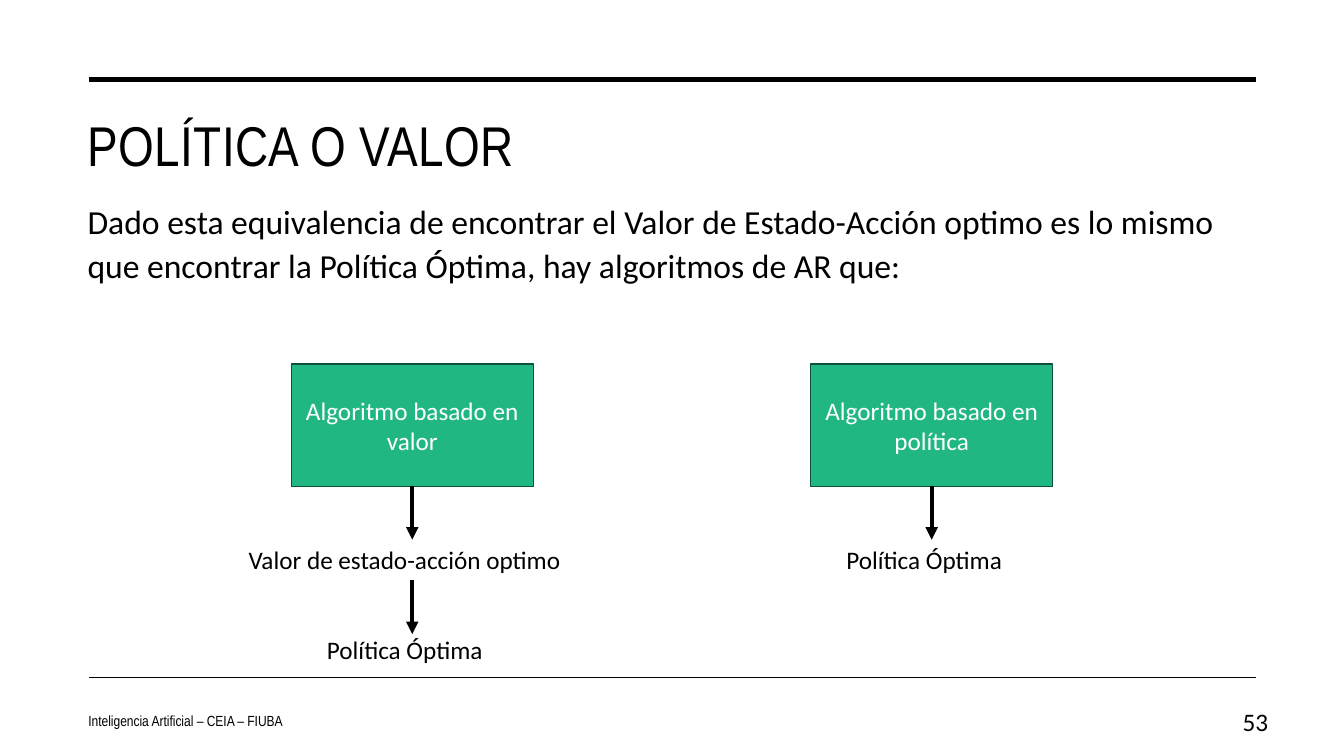
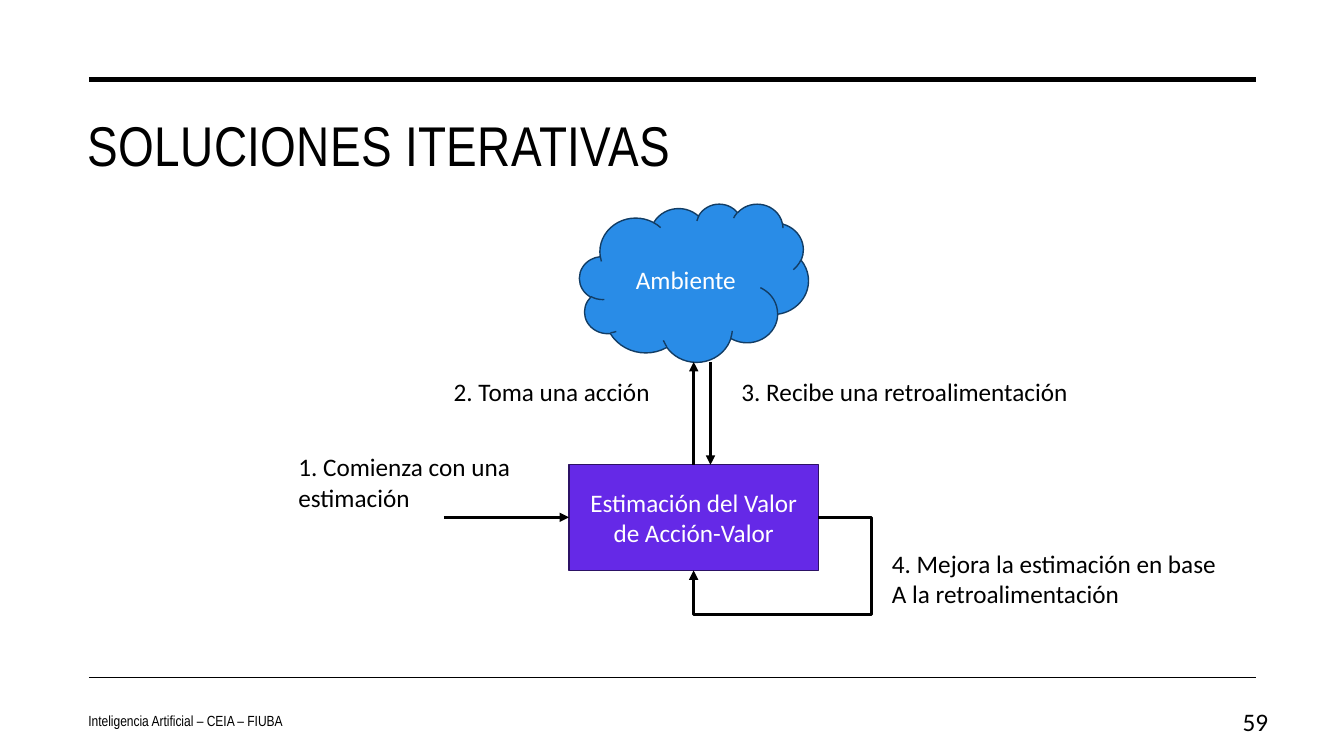
from lxml import etree
from pptx import Presentation
from pptx.dml.color import RGBColor
from pptx.enum import shapes, text
from pptx.oxml import ns
from pptx.util import Pt

BLACK = RGBColor(0x00, 0x00, 0x00)
WHITE = RGBColor(0xFF, 0xFF, 0xFF)
GREEN = RGBColor(0x21, 0xB7, 0x82)
PINE = RGBColor(0x0E, 0x50, 0x39)
BLUE = RGBColor(0x29, 0x8C, 0xE7)
NAVY = RGBColor(0x12, 0x3D, 0x65)
VIOLET = RGBColor(0x65, 0x29, 0xE7)
PLUM = RGBColor(0x2C, 0x12, 0x65)
HEAD, BODY = "Arial Narrow", "Calibri"
RECT = shapes.MSO_SHAPE.RECTANGLE
CLOUD = shapes.MSO_SHAPE.CLOUD
LEFT, MID, RIGHT = text.PP_ALIGN.LEFT, text.PP_ALIGN.CENTER, text.PP_ALIGN.RIGHT
TOP, CORE = text.MSO_ANCHOR.TOP, text.MSO_ANCHOR.MIDDLE


class Deck:
    """Holds the shared style and the slide being built."""

    def __init__(self):
        self.prs = Presentation()
        self.prs.slide_width, self.prs.slide_height = Pt(960), Pt(540)

    def page(self, title, num):
        self.slide = self.prs.slides.add_slide(self.prs.slide_layouts[5])
        self.line(63.5, 57, 897, 57, 3.5)
        self.line(63.5, 484, 897, 484, 1)
        head = self.slide.shapes.title
        head.left, head.top, head.width, head.height = map(Pt, (55.5, 72.5, 841.5, 73.5))
        self.fill(head, title, 40, face=HEAD)
        head.text_frame.margin_top = Pt(6.5)
        head.text_frame.auto_size = text.MSO_AUTO_SIZE.NONE
        head.text_frame.paragraphs[0].runs[0].font._element.set("spc", "30")
        self.note("Inteligencia Artificial – CEIA – FIUBA", 56, 500.5, 357, 29,
                  10.5, face=HEAD, anchor=CORE).space_after = Pt(6)
        self.note(str(num), 859.5, 500.5, 53.5, 29, align=RIGHT, anchor=CORE)

    def fill(self, shape, words, size=18, color=BLACK, face=BODY, align=LEFT, anchor=TOP):
        frame = shape.text_frame
        frame.text = words
        frame.word_wrap = True
        frame.vertical_anchor = anchor
        for para in frame.paragraphs:
            para.alignment = align
            for run in para.runs:
                font = run.font
                font.size, font.name, font.color.rgb = Pt(size), face, color
        return frame.paragraphs[0]

    def note(self, words, x, y, w, h, size=18, **style):
        box = self.slide.shapes.add_textbox(Pt(x), Pt(y), Pt(w), Pt(h))
        return self.fill(box, words, size, **style)

    def label(self, words, x, y, w, h=29):
        self.note(words, x, y, w, h)
        frame = self.slide.shapes[-1].text_frame
        frame.word_wrap = False
        frame.auto_size = text.MSO_AUTO_SIZE.SHAPE_TO_FIT_TEXT

    def block(self, words, x, y, w, h, fill, edge, kind=RECT):
        shape = self.slide.shapes.add_shape(kind, Pt(x), Pt(y), Pt(w), Pt(h))
        shape.shadow.inherit = False
        shape.fill.solid()
        shape.fill.fore_color.rgb = fill
        shape.line.color.rgb, shape.line.width = edge, Pt(1)
        self.fill(shape, words, color=WHITE, align=MID, anchor=CORE)
        return shape

    def line(self, x1, y1, x2, y2, width, kind=shapes.MSO_CONNECTOR.STRAIGHT):
        line = self.slide.shapes.add_connector(kind, Pt(x1), Pt(y1), Pt(x2), Pt(y2))
        line.line.color.rgb, line.line.width = BLACK, Pt(width)
        etree.SubElement(line._element.spPr, ns.qn("a:effectLst"))
        return line

    def arrow(self, *args, **kind):
        line = self.line(*args, **kind)
        stroke = line._element.spPr.find(ns.qn("a:ln"))
        etree.SubElement(stroke, ns.qn("a:tailEnd"), type="triangle")
        return line

    def loop(self, box, x1, y1, x2, y2, width, *bends):
        line = self.arrow(x1, y1, x2, y2, width, kind=shapes.MSO_CONNECTOR.ELBOW)
        line.begin_connect(box, 3)
        line.end_connect(box, 2)
        geom = line._element.spPr.find(ns.qn("a:prstGeom"))
        geom.set("prst", "bentConnector4")
        for old in list(geom):
            geom.remove(old)
        guides = etree.SubElement(geom, ns.qn("a:avLst"))
        for i, bend in enumerate(bends, 1):
            etree.SubElement(guides, ns.qn("a:gd"), name=f"adj{i}", fmla=f"val {bend}")


def policy(deck):
    deck.page("POLÍTICA O VALOR", 53)
    lead = deck.note(
        "Dado esta equivalencia de encontrar el Valor de Estado-Acción optimo es lo mismo "
        "que encontrar la Política Óptima, hay algoritmos de AR que:",
        55.5, 137, 841.5, 342, 24)
    lead.line_spacing, lead.space_before = 1.1, Pt(10)
    value, best = ("Valor de estado-acción optimo", 248), ("Política Óptima", 136)
    for mid, name, steps in ((294.5, "valor", (value, best)), (665.5, "política", (best,))):
        deck.block(f"Algoritmo basado en {name}", mid - 86.5, 260, 173, 87.5, GREEN, PINE)
        for i, (words, wide) in enumerate(steps):
            deck.arrow(mid, 347 + 67.5 * i, mid, 385.5 + 67.5 * i, 3)
            deck.label(words, mid - wide / 2, 385.5 + 64 * i, wide)


def loops(deck):
    deck.page("SOLUCIONES ITERATIVAS", 59)
    deck.block("Ambiente", 414, 145.5, 163.5, 113, BLUE, NAVY, CLOUD)
    box = deck.block("Estimación del Valor de Acción-Valor", 406.5, 332, 178, 75.5, VIOLET, PLUM)
    deck.loop(box, 584.5, 369.75, 495.5, 407.5, 2.25, -42500, 183200)
    deck.arrow(495.5, 332, 495.5, 258.5, 2.25)
    deck.arrow(507.5, 258.5, 507.5, 332, 2.25)
    deck.arrow(317, 369.5, 406.5, 369.5, 2.25)
    deck.label("1. Comienza con una\nestimación", 206, 319, 179, 51)
    deck.label("2. Toma una acción", 317, 265, 166)
    deck.label("3. Recibe una retroalimentación", 522.5, 265, 267)
    deck.label("4. Mejora la estimación en base\nA la retroalimentación", 630, 388, 261.5, 51)


def main():
    deck = Deck()
    policy(deck)
    loops(deck)
    deck.prs.save("out.pptx")


if __name__ == "__main__":
    main()
